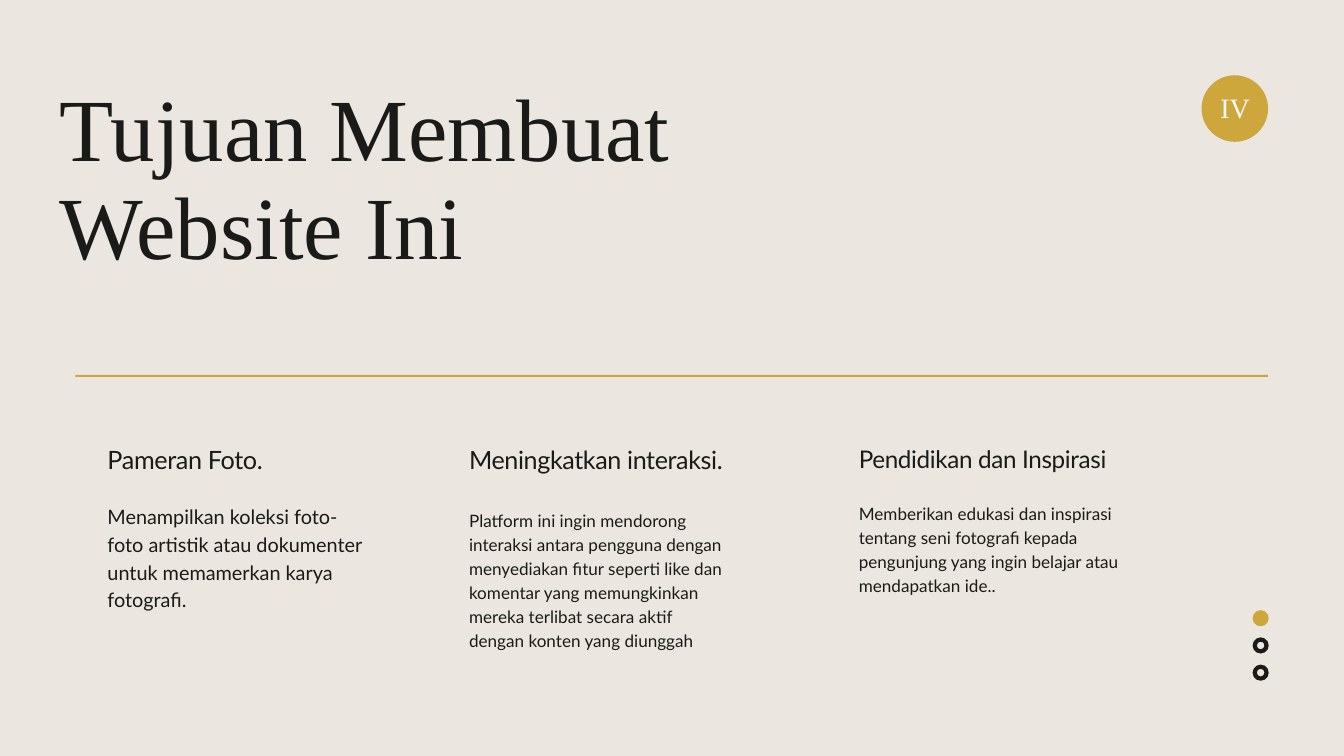
from pptx import Presentation
from pptx.dml.color import RGBColor
from pptx.enum.shapes import MSO_SHAPE
from pptx.enum.text import PP_ALIGN
from pptx.util import Inches, Pt

OVAL, DONUT, RECTANGLE = MSO_SHAPE.OVAL, MSO_SHAPE.DONUT, MSO_SHAPE.RECTANGLE
LEFT, CENTER = PP_ALIGN.LEFT, PP_ALIGN.CENTER

COLORS = {"paper": "EBE7E0", "gold": "CDA63C", "ink": "1A1B18", "white": "FAFAFA"}
SERIF, SANS = "Times New Roman", "Lato"

GOALS = [
    (1.6, "Pameran Foto.", 27, 35.1,
     "Menampilkan koleksi foto-foto artistik atau dokumenter untuk memamerkan "
     "karya fotografi.", 7.45, 1.64, 21.3, 29.8),
    (6.98, "Meningkatkan interaksi.", 26.9, 34.9,
     "Platform ini ingin mendorong interaksi antara pengguna dengan menyediakan "
     "fitur seperti like dan komentar yang memungkinkan mereka terlibat secara "
     "aktif dengan konten yang diunggah", 7.55, 2.15, 18.3, 25.6),
    (12.78, "Pendidikan dan Inspirasi", 26, 33.8,
     "Memberikan edukasi dan inspirasi tentang seni fotografi kepada pengunjung "
     "yang ingin belajar atau mendapatkan ide..", 7.44, 1.44, 18.3, 25.6),
]


class Deck:
    """Holds the palette and the current slide, and draws its elements."""

    def __init__(self, slide):
        self.slide = slide

    def color(self, name):
        return RGBColor.from_string(COLORS[name])

    def background(self, name):
        fill = self.slide.background.fill
        fill.solid()
        fill.fore_color.rgb = self.color(name)

    def shape(self, kind, left, top, width, height, color):
        shape = self.slide.shapes.add_shape(
            kind, Inches(left), Inches(top), Inches(width), Inches(height))
        shape.shadow.inherit = False
        shape.fill.solid()
        shape.fill.fore_color.rgb = self.color(color)
        shape.line.fill.background()
        return shape

    def text(self, words, left, top, width, height, size, leading,
             font=SANS, color="ink", align=LEFT, tracking=0):
        box = self.slide.shapes.add_textbox(
            Inches(left), Inches(top), Inches(width), Inches(height))
        frame = box.text_frame
        frame.word_wrap = True
        frame.margin_left = frame.margin_right = 0
        frame.margin_top = frame.margin_bottom = 0
        paragraph = frame.paragraphs[0]
        paragraph.alignment = align
        paragraph.line_spacing = Pt(leading)
        run = paragraph.add_run()
        run.text = words
        run.font.name = font
        run.font.size = Pt(size)
        run.font.color.rgb = self.color(color)
        if tracking:
            run.font._element.set("spc", str(round(tracking * 100)))


def main():
    prs = Presentation()
    prs.slide_width, prs.slide_height = Inches(20), Inches(11.25)
    deck = Deck(prs.slides.add_slide(prs.slide_layouts[6]))
    deck.background("paper")

    deck.shape(OVAL, 17.88, 1.12, 0.99, 0.99, "gold")
    deck.text("IV", 18.08, 1.39, 0.6, 0.48, 30, 33, SERIF, "white", CENTER)
    deck.shape(RECTANGLE, 1.12, 5.58, 17.75, 0.03, "gold")
    deck.text("Tujuan Membuat Website Ini", 0.89, 1.22, 11.71, 2.93, 95, 104.5, SERIF)

    for (left, heading, heading_size, heading_leading,
         body, body_top, body_height, body_size, body_leading) in GOALS:
        deck.text(heading, left, 6.58, 3.9, 0.52, heading_size, heading_leading,
                  tracking=-0.4)
        deck.text(body, left, body_top, 3.9, body_height, body_size, body_leading)

    page_dots = [(OVAL, "gold"), (DONUT, "ink"), (DONUT, "ink")]
    for index, (kind, color) in enumerate(page_dots):
        dot = deck.shape(kind, 18.64, 9.08 + index * 0.405, 0.24, 0.24, color)
        if kind == DONUT:
            dot.adjustments[0] = 0.27

    prs.save("out.pptx")


if __name__ == "__main__":
    main()
